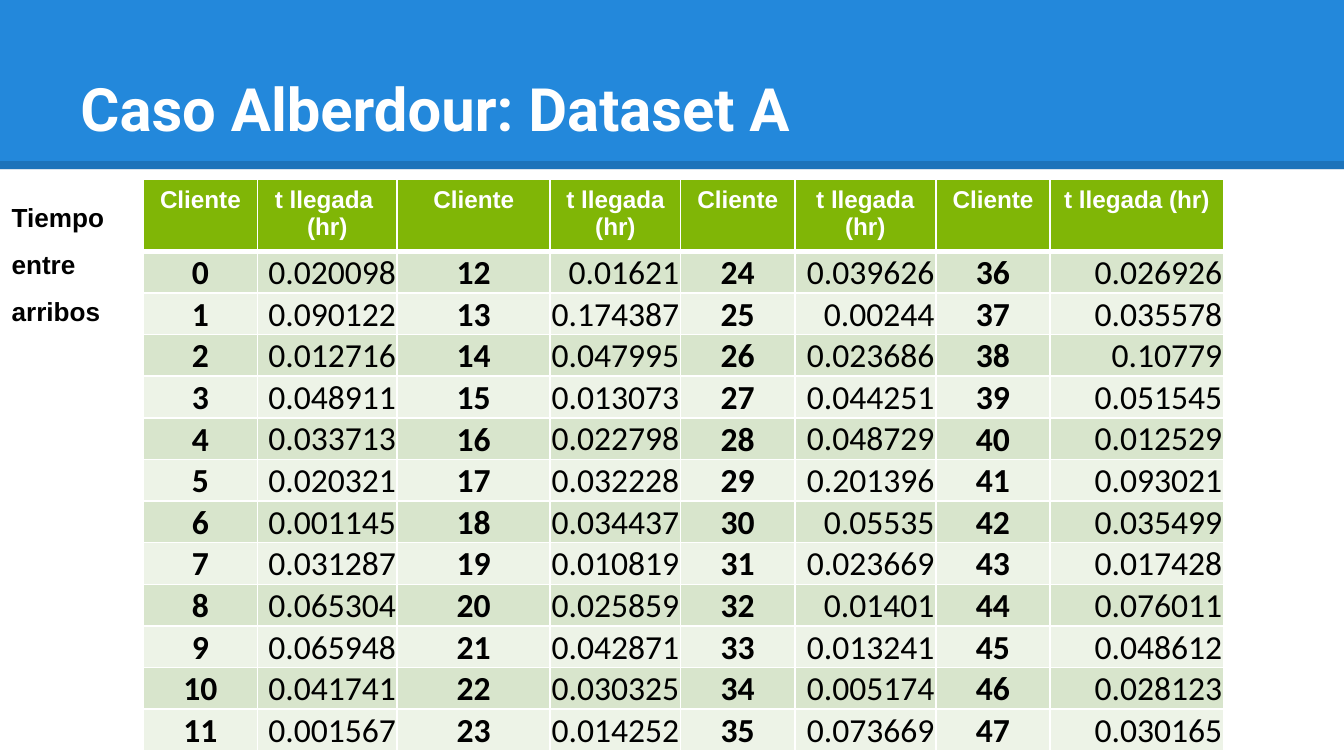
from lxml.etree import SubElement
from pptx import Presentation
from pptx.dml.color import RGBColor
from pptx.enum.shapes import MSO_CONNECTOR, MSO_SHAPE
from pptx.enum.text import MSO_ANCHOR, MSO_AUTO_SIZE, PP_ALIGN
from pptx.oxml.ns import qn
from pptx.util import Pt

WHITE = RGBColor(0xFF, 0xFF, 0xFF)
BLACK = RGBColor(0, 0, 0)
BLUE = RGBColor(0x23, 0x88, 0xDB)
GREEN = RGBColor(0x80, 0xB6, 0x06)
BANDS = [RGBColor(0xD8, 0xE5, 0xCC), RGBColor(0xED, 0xF3, 0xE7)]

COLUMN_WIDTHS = [61.2, 74.9, 82, 69.8, 61.2, 75.6, 61.2, 92.9]
CLIENTS_PER_COLUMN = 12
HEADER_HEIGHT, ROW_HEIGHT = 26.6, 21.6

# Arrival times in hours, in client order
ARRIVALS = [
    "0.020098", "0.090122", "0.012716", "0.048911", "0.033713", "0.020321",
    "0.001145", "0.031287", "0.065304", "0.065948", "0.041741", "0.001567",
    "0.01621", "0.174387", "0.047995", "0.013073", "0.022798", "0.032228",
    "0.034437", "0.010819", "0.025859", "0.042871", "0.030325", "0.014252",
    "0.039626", "0.00244", "0.023686", "0.044251", "0.048729", "0.201396",
    "0.05535", "0.023669", "0.01401", "0.013241", "0.005174", "0.073669",
    "0.026926", "0.035578", "0.10779", "0.051545", "0.012529", "0.093021",
    "0.035499", "0.017428", "0.076011", "0.048612", "0.028123", "0.030165",
]


def write_lines(frame, lines, font, size, color, bold=True,
                align=PP_ALIGN.LEFT, spacing=None):
    for index, line in enumerate(lines):
        para = frame.paragraphs[0] if index == 0 else frame.add_paragraph()
        para.alignment = align
        if spacing:
            para.line_spacing = spacing
        span = para.add_run()
        span.text = line
        span.font.name = font
        span.font.size = Pt(size)
        span.font.bold = bold
        span.font.color.rgb = color


def add_text(page, left, top, width, height, wrap):
    box = page.shapes.add_textbox(Pt(left), Pt(top), Pt(width), Pt(height))
    box.text_frame.word_wrap = wrap
    return box.text_frame


def add_banner(page):
    banner = page.shapes.add_shape(MSO_SHAPE.RECTANGLE, 0, 0, Pt(720), Pt(90.7))
    banner.shadow.inherit = False
    banner.fill.solid()
    banner.fill.fore_color.rgb = BLUE
    banner.line.fill.background()

    # Translucent dark edge
    edge = page.shapes.add_connector(MSO_CONNECTOR.STRAIGHT,
                                     0, Pt(88.5), Pt(720), Pt(88.5))
    edge.line.width = Pt(4.5)
    edge.line.color.rgb = BLACK
    properties = edge._element.spPr
    color = properties.find(".//" + qn("a:srgbClr"))
    SubElement(color, qn("a:alpha"), val="14000")
    SubElement(properties, qn("a:effectLst"))


def add_borders(cell, top=1, bottom=1):
    widths = {"a:lnL": 1, "a:lnR": 1, "a:lnT": top, "a:lnB": bottom}
    properties = cell._tc.get_or_add_tcPr()
    for side, width in widths.items():
        line = SubElement(properties, qn(side), w=str(Pt(width)))
        fill = SubElement(line, qn("a:solidFill"))
        SubElement(fill, qn("a:srgbClr"), val=str(WHITE))


def fill_cell(cell, color):
    cell.fill.solid()
    cell.fill.fore_color.rgb = color


def fill_header(cell, lines):
    add_borders(cell, bottom=3)
    fill_cell(cell, GREEN)
    write_lines(cell.text_frame, lines, "Arial", 13, WHITE,
                align=PP_ALIGN.CENTER)


def fill_body(cell, text, row, is_client):
    add_borders(cell, top=3 if row == 0 else 1)
    fill_cell(cell, BANDS[row % 2])
    cell.margin_left = cell.margin_right = cell.margin_top = Pt(0.7)
    cell.margin_bottom = 0
    cell.vertical_anchor = MSO_ANCHOR.TOP if is_client else MSO_ANCHOR.BOTTOM
    write_lines(cell.text_frame, [text], "Calibri", 18, BLACK, bold=is_client,
                align=PP_ALIGN.CENTER if is_client else PP_ALIGN.RIGHT)


def add_arrivals_table(page):
    height = HEADER_HEIGHT + CLIENTS_PER_COLUMN * ROW_HEIGHT
    table = page.shapes.add_table(
        CLIENTS_PER_COLUMN + 1, len(COLUMN_WIDTHS),
        Pt(76.7), Pt(96.1), Pt(sum(COLUMN_WIDTHS)), Pt(height)).table
    for column, width in zip(table.columns, COLUMN_WIDTHS):
        column.width = Pt(width)
    for index, row in enumerate(table.rows):
        row.height = Pt(ROW_HEIGHT if index else HEADER_HEIGHT)

    # Each pair of columns holds twelve clients
    for pair in range(len(COLUMN_WIDTHS) // 2):
        left = 2 * pair
        times_title = ["t llegada (hr)"] if pair else ["t llegada ", "(hr)"]
        fill_header(table.cell(0, left), ["Cliente"])
        fill_header(table.cell(0, left + 1), times_title)
        for row in range(CLIENTS_PER_COLUMN):
            client = pair * CLIENTS_PER_COLUMN + row
            fill_body(table.cell(row + 1, left), str(client), row, True)
            fill_body(table.cell(row + 1, left + 1), ARRIVALS[client], row, False)


def main():
    deck = Presentation()
    deck.slide_width, deck.slide_height = Pt(720), Pt(405)
    page = deck.slides.add_slide(deck.slide_layouts[6])

    # Title banner
    add_banner(page)
    title = add_text(page, 36, 16.6, 648, 67.7, wrap=True)
    title.vertical_anchor = MSO_ANCHOR.BOTTOM
    title.margin_left = title.margin_right = Pt(7.2)
    title.margin_top = title.margin_bottom = Pt(7.2)
    write_lines(title, ["Caso Alberdour: Dataset A"], "Roboto", 32, WHITE)

    # Arrival times and their side label
    add_arrivals_table(page)
    label = add_text(page, -0.9, 96.1, 68.4, 80.6, wrap=False)
    label.auto_size = MSO_AUTO_SIZE.SHAPE_TO_FIT_TEXT
    write_lines(label, ["Tiempo", "entre", "arribos"], "Arial", 14, BLACK,
                spacing=1.5)

    deck.save("out.pptx")


if __name__ == "__main__":
    main()
